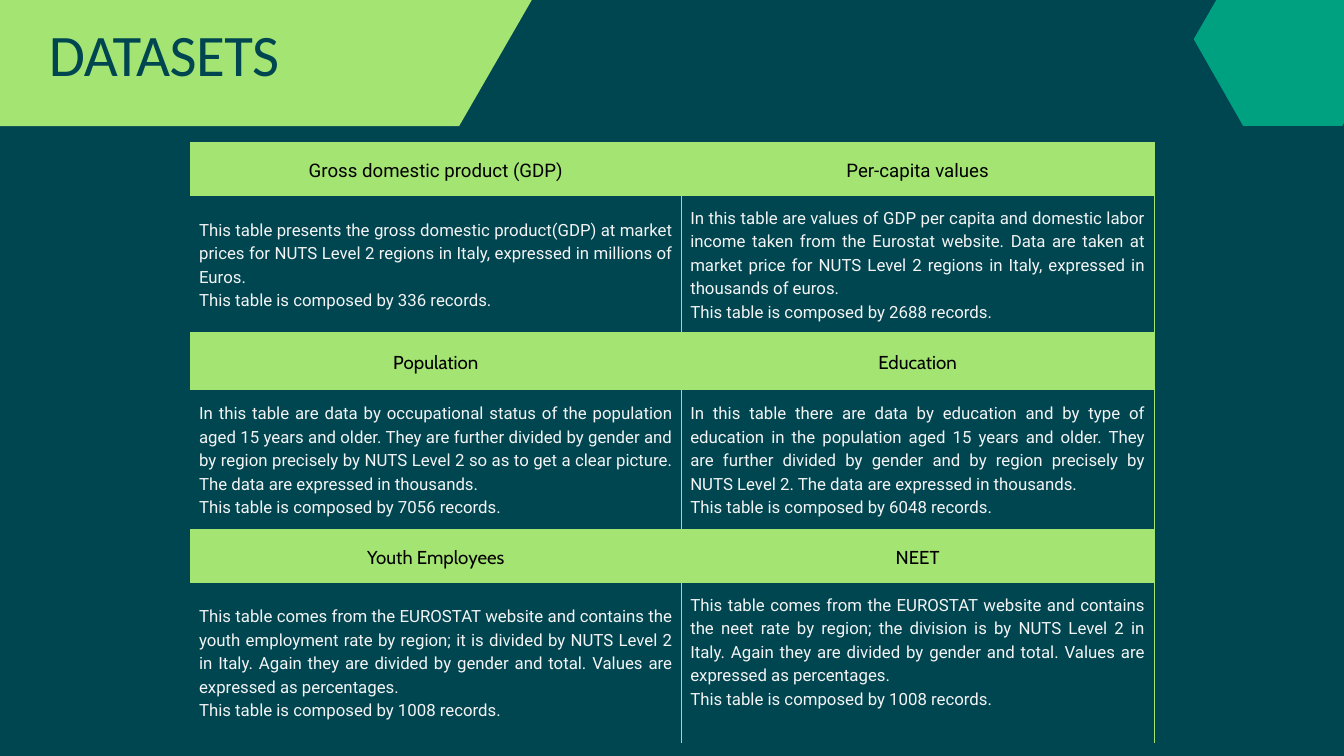
"""Build the slide that lists the six datasets in a two-column table."""
from dataclasses import dataclass
from typing import Any

import pptx
import pptx.dml.color
import pptx.enum.text
import pptx.oxml.ns
import pptx.presentation
import pptx.slide
import pptx.table
import pptx.util
from lxml import etree

Pt = pptx.util.Pt
Rgb = pptx.dml.color.RGBColor
Align = pptx.enum.text.PP_ALIGN
Anchor = pptx.enum.text.MSO_ANCHOR
qn = pptx.oxml.ns.qn


@dataclass(frozen=True)
class Theme:
    """Colours, fonts and type sizes of the slide."""
    dark: str = "004651"
    lime: str = "A4E473"
    teal: str = "00A181"
    pale: str = "F4F4F4"
    black: str = "000000"
    title: str = "Calibri"
    body: str = "Roboto"
    label: str = "Cabin"
    big: float = 63
    mid: float = 20
    small: float = 18


@dataclass(frozen=True)
class Hexa:
    """A flat-topped hexagon and how far its side points reach."""
    left: float
    top: float
    width: float
    height: float
    point: float
    fill: str


@dataclass(frozen=True)
class Dataset:
    """One dataset: its heading, description and record count."""
    name: str
    text: str
    count: int
    font: str
    lift: float = 0


@dataclass(frozen=True)
class Style:
    """Look of the text and fill in one table cell."""
    font: str
    size: float
    ink: str
    fill: str
    align: Any
    line: float


THEME = Theme()
HEXES = (
    Hexa(-224.6, -270.7, 833.7, 405.3, 117.3, THEME.lime),
    Hexa(1278.8, -49.7, 212.2, 184.3, 53.1, THEME.teal),
)
LEFT, TOP = 203.8, 152.6
COLS = (526.3, 506.2)
ROWS = (56.2, 147.6, 60.5, 150.5, 56.2, 172.1)
PAD = 9.5
EDGE = 0.75
DATA = (
    Dataset("Gross domestic product (GDP)",
            "This table presents the gross domestic product(GDP) at market prices for "
            "NUTS Level 2 regions in Italy, expressed in millions of Euros.",
            336, THEME.body),
    Dataset("Per-capita values",
            "In this table are values of GDP per capita and domestic labor income taken "
            "from the Eurostat website. Data are taken at market price for NUTS Level 2 "
            "regions in Italy, expressed in thousands of euros.",
            2688, THEME.body),
    Dataset("Population",
            "In this table are data by occupational status of the population aged 15 "
            "years and older. They are further divided by gender and by region precisely "
            "by NUTS Level 2 so as to get a clear picture. The data are expressed in "
            "thousands.",
            7056, THEME.label),
    Dataset("Education",
            "In this table there are data by education and by type of education in the "
            "population aged 15 years and older. They are further divided by gender and "
            "by region precisely by NUTS Level 2. The data are expressed in thousands.",
            6048, THEME.label),
    Dataset("Youth Employees",
            "This table comes from the EUROSTAT website and contains the youth employment "
            "rate by region; it is divided by NUTS Level 2 in Italy. Again they are "
            "divided by gender and total. Values are expressed as percentages.",
            1008, THEME.label),
    Dataset("NEET",
            "This table comes from the EUROSTAT website and contains the neet rate by "
            "region; the division is by NUTS Level 2 in Italy. Again they are divided by "
            "gender and total. Values are expressed as percentages.",
            1008, THEME.label, 25),
)


def apply(item: Any, values: dict[str, Any]) -> None:
    """Set each named value on the item."""
    for name, value in values.items():
        setattr(item, name, value)


def paint(fill: Any, tint: str) -> None:
    """Give a fill one solid colour."""
    fill.solid()
    fill.fore_color.rgb = Rgb.from_string(tint)


def draw_hex(slide: pptx.slide.Slide, hexa: Hexa) -> None:
    """Draw a hexagon without outline."""
    right, base = hexa.left + hexa.width, hexa.top + hexa.height
    near, far = hexa.left + hexa.point, right - hexa.point
    mid = hexa.top + hexa.height / 2
    path = slide.shapes.build_freeform(near, hexa.top, scale=Pt(1))
    path.add_line_segments([(far, hexa.top), (right, mid), (far, base),
                            (near, base), (hexa.left, mid)])
    shape = path.convert_to_shape()
    paint(shape.fill, hexa.fill)
    shape.line.fill.background()
    shape.shadow.inherit = False


def draw_title(slide: pptx.slide.Slide, text: str) -> None:
    """Place the slide title over the lime hexagon."""
    title = slide.shapes.title
    apply(title, {"left": Pt(52.5), "top": Pt(13), "width": Pt(625.7), "height": Pt(80)})
    title.element.getparent().append(title.element)
    frame = title.text_frame
    apply(frame, {"text": text, "word_wrap": True, "vertical_anchor": Anchor.TOP,
                  "auto_size": pptx.enum.text.MSO_AUTO_SIZE.NONE,
                  "margin_left": 0, "margin_right": 0, "margin_top": 0, "margin_bottom": 0})
    para = frame.paragraphs[0]
    apply(para, {"alignment": Align.LEFT, "line_spacing": Pt(81.9), "space_before": Pt(0)})
    run = para.runs[0]
    apply(run.font, {"name": THEME.title, "size": Pt(THEME.big)})
    run.font.color.rgb = Rgb.from_string(THEME.dark)
    run.font._element.set("spc", "-60")


def draw_edges(cell: pptx.table._Cell, sides: dict[str, bool]) -> None:
    """Draw the chosen cell borders and hide the rest."""
    props = cell._tc.get_or_add_tcPr()
    for side, shown in sides.items():
        line = etree.SubElement(props, qn(f"a:ln{side}"), w=str(Pt(EDGE) if shown else 0))
        if shown:
            fill = etree.SubElement(line, qn("a:solidFill"))
            etree.SubElement(fill, qn("a:srgbClr"), val=THEME.lime)
        else:
            etree.SubElement(line, qn("a:noFill"))


def fill_cell(cell: pptx.table._Cell, lines: list[str], style: Style, lift: float = 0) -> None:
    """Write the lines into a cell and colour it."""
    apply(cell, {"vertical_anchor": Anchor.MIDDLE, "margin_left": Pt(PAD),
                 "margin_right": Pt(PAD), "margin_top": Pt(PAD),
                 "margin_bottom": Pt(PAD + lift)})
    paint(cell.fill, style.fill)
    cell.text_frame.text = "\n".join(lines)
    for para in cell.text_frame.paragraphs:
        apply(para, {"alignment": style.align, "line_spacing": Pt(style.line)})
        font = para.runs[0].font
        apply(font, {"name": style.font, "size": Pt(style.size), "bold": False})
        font.color.rgb = Rgb.from_string(style.ink)


def draw_table(slide: pptx.slide.Slide) -> None:
    """Draw the datasets as pairs of heading and text rows."""
    table = slide.shapes.add_table(len(ROWS), len(COLS), Pt(LEFT), Pt(TOP),
                                   Pt(sum(COLS)), Pt(sum(ROWS))).table
    apply(table, {"first_row": False, "horz_banding": False})
    for col, width in zip(table.columns, COLS):
        col.width = Pt(width)
    for row, height in zip(table.rows, ROWS):
        row.height = Pt(height)
    for r in range(len(ROWS)):
        for c in range(len(COLS)):
            draw_edges(table.cell(r, c), {"L": c > 0, "R": True, "T": r > 0,
                                          "B": r < len(ROWS) - 1})
    body = Style(THEME.body, THEME.small, THEME.pale, THEME.dark, Align.JUSTIFY, 25.2)
    for i, data in enumerate(DATA):
        pair, c = divmod(i, len(COLS))
        head = Style(data.font, THEME.mid, THEME.black, THEME.lime, Align.CENTER, 28)
        fill_cell(table.cell(2 * pair, c), [data.name], head)
        count = f"This table is composed by {data.count} records."
        fill_cell(table.cell(2 * pair + 1, c), [data.text, count], body, data.lift)


def main() -> None:
    """Build and save the deck."""
    deck = pptx.Presentation()
    apply(deck, {"slide_width": Pt(1440), "slide_height": Pt(810)})
    slide = deck.slides.add_slide(deck.slide_layouts[5])
    paint(slide.background.fill, THEME.dark)
    for hexa in HEXES:
        draw_hex(slide, hexa)
    draw_title(slide, "DATASETS")
    draw_table(slide)
    deck.save("out.pptx")


if __name__ == "__main__":
    main()
